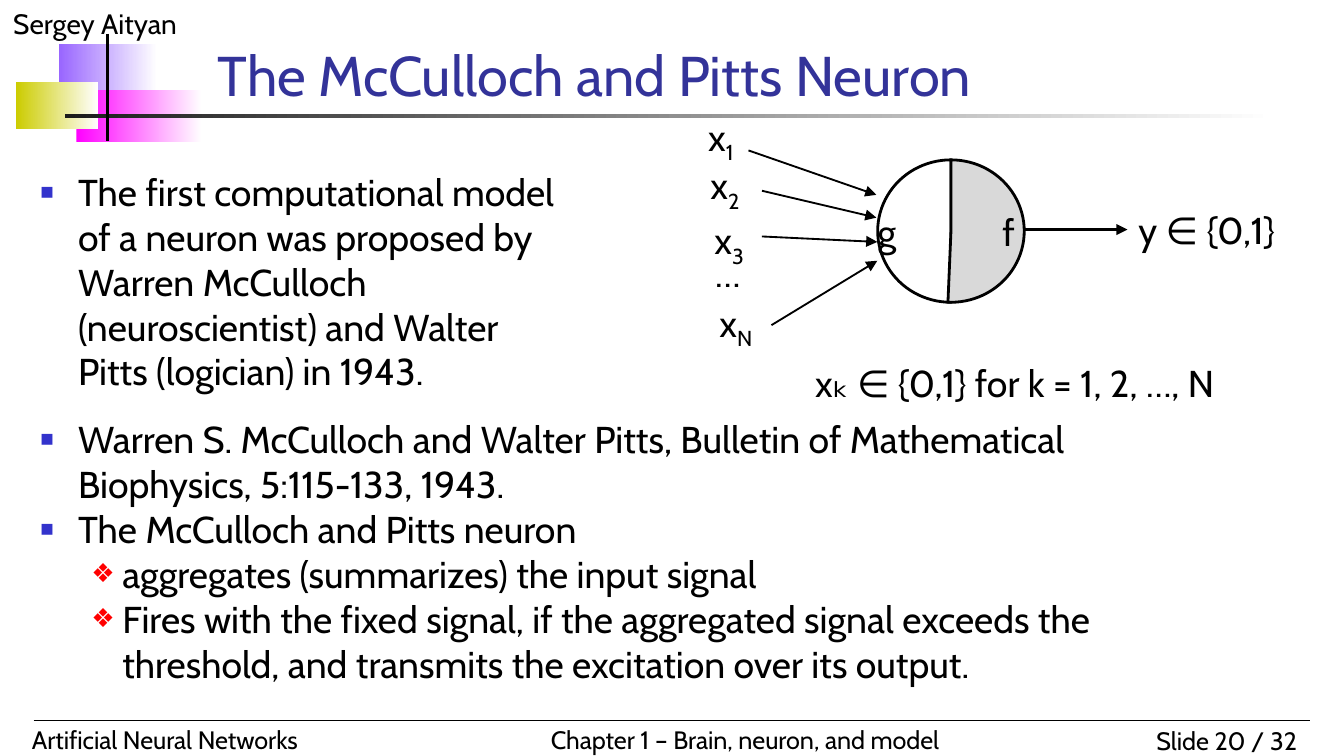
from dataclasses import dataclass

from lxml import etree
from pptx import Presentation
from pptx.dml.color import RGBColor
from pptx.enum.shapes import MSO_CONNECTOR, MSO_SHAPE
from pptx.enum.text import MSO_ANCHOR, MSO_AUTO_SIZE, PP_ALIGN
from pptx.oxml.ns import qn
from pptx.util import Pt

RECT, PIE = MSO_SHAPE.RECTANGLE, MSO_SHAPE.PIE
LINE = MSO_CONNECTOR.STRAIGHT
LEFT, MID, RIGHT = PP_ALIGN.LEFT, PP_ALIGN.CENTER, PP_ALIGN.RIGHT
TOP, HALF, LOW = MSO_ANCHOR.TOP, MSO_ANCHOR.MIDDLE, MSO_ANCHOR.BOTTOM
FIXED = MSO_AUTO_SIZE.NONE
FONT = "Cabin"
BLACK = "000000"
INSET = (7.2, 3.6)


@dataclass
class Box:
    x: float
    y: float
    w: float
    h: float

    def place(self) -> tuple:
        return Pt(self.x), Pt(self.y), Pt(self.w), Pt(self.h)


@dataclass
class Fade:
    box: Box
    color: str


@dataclass
class Label:
    box: Box
    text: str
    size: float = 20
    align: PP_ALIGN = MID
    pad: tuple = (0, 0)
    sub: str = ""


@dataclass
class Stroke:
    x1: float
    y1: float
    x2: float
    y2: float
    width: float = 1
    arrow: bool = True


@dataclass
class Half:
    text: str
    start: float
    align: PP_ALIGN
    pad: tuple
    fill: str = ""
    flip: bool = False


@dataclass
class Mark:
    char: str
    color: str
    scale: int
    left: float
    hang: float


@dataclass
class Item:
    text: str
    level: int = 0


FADES = [
    Fade(Box(31.7, 23.8, 52.6, 28), "9966FF"),
    Fade(Box(41, 48.2, 67, 28), "FF00FF"),
    Fade(Box(8.6, 43.9, 43.9, 25.2), "CCCC00"),
    Fade(Box(34.6, 61.2, 648, 2), "1C1C1C"),
]
LABELS = [
    Label(Box(0, 0, 180, 25), "Sergey Aityan", 15, LEFT, INSET),
    Label(Box(594, 385.2, 108, 24), "Slide 20 / 32", 13.5, RIGHT, INSET),
    Label(Box(10, 384.5, 266, 24), "Artificial Neural Networks", 13.5, LEFT, INSET),
    Label(Box(288, 384.5, 249, 24), "Chapter 1 – Brain, neuron, and model", 13.5, LEFT, INSET),
    Label(Box(375, 61.2, 22.4, 23), "x", sub="1"),
    Label(Box(374.4, 87.1, 28, 23), "x", sub="2"),
    Label(Box(378, 116.6, 25.2, 23), "x", sub="3"),
    Label(Box(377.3, 134, 25.2, 23), "…"),
    Label(Box(381.6, 160.6, 25.2, 23), "x", sub="N"),
    Label(Box(413.3, 193, 260.6, 24.5), "xₖ ∈ {0,1} for k = 1, 2, …, N"),
]
STROKES = [
    Stroke(18, 386, 702, 386, 0.75, False),
    Stroke(57.6, 18, 57.6, 75.6, 2, False),
    Stroke(401, 80.6, 469.5, 104.4),
    Stroke(408.2, 102.2, 469.5, 116.6),
    Stroke(408.2, 126.7, 470, 129.6),
    Stroke(413.3, 174.2, 470, 139.7),
]
HALVES = [
    Half("g", 53.84, LEFT, (0, 2.9)),
    Half("f", 52.54, RIGHT, (5, 2.9), "D9D9D9", True),
]
CELL = Box(470.2, 85.7, 78.5, 76.3)
RESULT = Label(Box(604, 111, 85, 24), "y ∈ {0,1}")
OUTPUT = Stroke(548, 123, 604, 123, 1.5)
MARKS = [
    Mark("■", "3333CC", 60, 20.2, 20.2),
    Mark("❖", "FF0000", 70, 43.9, 16.6),
]
LISTS = [
    (Box(14.4, 87.1, 300.2, 125), [
        Item("The first computational model of a neuron was proposed by Warren "
             "McCulloch (neuroscientist) and Walter Pitts (logician) in 1943."),
    ]),
    (Box(14.4, 219.6, 617.8, 150), [
        Item("Warren S. McCulloch and Walter Pitts, Bulletin of Mathematical "
             "Biophysics, 5:115-133, 1943."),
        Item("The McCulloch and Pitts neuron"),
        Item("aggregates (summarizes) the input signal", 1),
        Item("Fires with the fixed signal, if the aggregated signal exceeds the "
             "threshold, and transmits the excitation over its output.", 1),
    ]),
]


def paint(color: str) -> RGBColor:
    return RGBColor.from_string(color)


def write(frame, text: str, *, size=20, color=BLACK, align=LEFT, anchor=TOP,
          pad=INSET, wrap=True, sub="", more=False):
    frame.auto_size = FIXED
    frame.word_wrap = wrap
    frame.vertical_anchor = anchor
    frame.margin_left = frame.margin_right = Pt(pad[0])
    frame.margin_top = frame.margin_bottom = Pt(pad[1])
    par = frame.add_paragraph() if more else frame.paragraphs[0]
    par.alignment = align
    par.space_before = Pt(0)
    for part in filter(None, (text, sub)):
        run = par.add_run()
        run.text = part
        run.font.name = FONT
        run.font.size = Pt(size)
        run.font.color.rgb = paint(color)
    if sub:
        run.font._element.set("baseline", "-25000")
    return par


def move(shape, box: Box) -> None:
    shape.left, shape.top, shape.width, shape.height = box.place()


def fade(shapes, spec: Fade) -> None:
    shape = shapes.add_shape(RECT, *spec.box.place())
    shape.shadow.inherit = False
    shape.line.fill.background()
    shape.fill.gradient()
    shape.fill.gradient_angle = 0
    for stop, color in zip(shape.fill.gradient_stops, (spec.color, "FFFFFF")):
        stop.color.rgb = paint(color)


def label(shapes, spec: Label):
    shape = shapes.add_textbox(*spec.box.place())
    write(shape.text_frame, spec.text, size=spec.size, align=spec.align,
          pad=spec.pad, sub=spec.sub)
    return shape


def stroke(shapes, spec: Stroke):
    line = shapes.add_connector(LINE, Pt(spec.x1), Pt(spec.y1), Pt(spec.x2), Pt(spec.y2))
    line.line.color.rgb = paint(BLACK)
    line.line.width = Pt(spec.width)
    props = line._element.spPr
    if spec.arrow:
        etree.SubElement(props.find(qn("a:ln")), qn("a:tailEnd"), type="triangle")
    etree.SubElement(props, qn("a:effectLst"))
    return line


def half(shapes, spec: Half) -> None:
    shape = shapes.add_shape(PIE, *CELL.place())
    shape.adjustments[0] = spec.start
    shape.adjustments[1] = 162
    shape.shadow.inherit = False
    shape.line.color.rgb = paint(BLACK)
    shape.line.width = Pt(1.5)
    if spec.fill:
        shape.fill.solid()
        shape.fill.fore_color.rgb = paint(spec.fill)
    else:
        shape.fill.background()
    if spec.flip:
        shape._element.spPr.find(qn("a:xfrm")).set("flipH", "1")
    write(shape.text_frame, spec.text, align=spec.align, anchor=HALF,
          pad=spec.pad, wrap=False)


def bullet(par, mark: Mark) -> None:
    props = par._element.get_or_add_pPr()
    props.set("marL", str(Pt(mark.left)))
    props.set("indent", str(-Pt(mark.hang)))
    tint = etree.SubElement(props, qn("a:buClr"))
    etree.SubElement(tint, qn("a:srgbClr"), val=mark.color)
    etree.SubElement(props, qn("a:buSzPct"), val=str(mark.scale * 1000))
    etree.SubElement(props, qn("a:buChar"), char=mark.char)


def fill_list(shape, box: Box, items: list[Item]) -> None:
    move(shape, box)
    for rank, item in enumerate(items):
        par = write(shape.text_frame, item.text, more=rank > 0)
        par.level = item.level
        bullet(par, MARKS[item.level])


def main() -> None:
    deck = Presentation()
    deck.slide_width, deck.slide_height = Pt(720), Pt(405)
    slide = deck.slides.add_slide(deck.slide_layouts[3])
    shapes = slide.shapes
    title, *bodies = slide.placeholders
    move(title, Box(109.4, 22.3, 529.2, 38.9))
    write(title.text_frame, "The McCulloch and Pitts Neuron", size=30,
          color="333399", anchor=LOW)
    for body, (box, items) in zip(bodies, LISTS):
        fill_list(body, box, items)
    for draw, specs in ((fade, FADES), (half, HALVES), (label, LABELS), (stroke, STROKES)):
        for spec in specs:
            draw(shapes, spec)
    goal = label(shapes, RESULT)
    stroke(shapes, OUTPUT).end_connect(goal, 1)
    deck.save("out.pptx")


if __name__ == "__main__":
    main()
